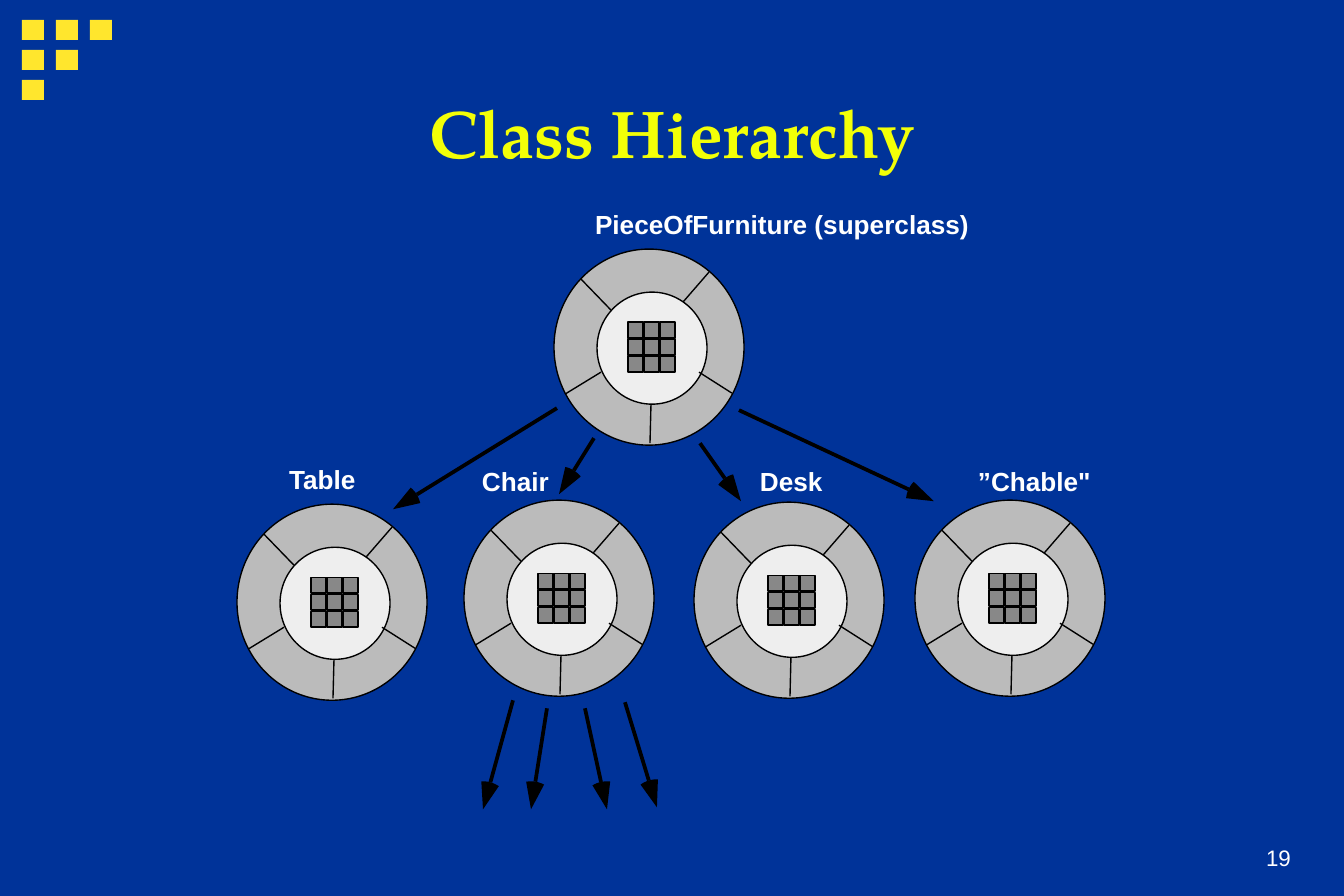
from math import atan2, cos, sin

from lxml import etree
from pptx import Presentation
from pptx.dml.color import RGBColor
from pptx.enum.shapes import MSO_CONNECTOR, MSO_SHAPE
from pptx.enum.text import MSO_ANCHOR, PP_ALIGN
from pptx.oxml.ns import qn
from pptx.util import Pt

SCALE = 914400 / 134.4
SLIDE_WIDTH, SLIDE_HEIGHT = Pt(720), Pt(479.8)
RECTANGLE, OVAL = MSO_SHAPE.RECTANGLE, MSO_SHAPE.OVAL
STRAIGHT = MSO_CONNECTOR.STRAIGHT
TOP, BOTTOM = MSO_ANCHOR.TOP, MSO_ANCHOR.BOTTOM
LEFT, CENTER, RIGHT = PP_ALIGN.LEFT, PP_ALIGN.CENTER, PP_ALIGN.RIGHT

BLUE, YELLOW, BRIGHT_YELLOW = "003399", "FFE62D", "F3FF07"
BLACK, WHITE = "000000", "FFFFFF"
RING_GRAY, HUB_GRAY, CELL_GRAY = "BBBBBB", "EEEEEE", "888888"

HEAD_LENGTH = 28
HEAD_HALF_ANGLE = 0.33
HEAD_STEPS = 4

TITLE_FORMAT = {"name": "TeX Gyre Pagella", "size": Pt(36), "bold": True}
LABEL_FORMAT = {"name": "Arial", "size": Pt(14), "bold": True}
NUMBER_FORMAT = {"name": "Arial", "size": Pt(12), "bold": False}

WHEELS = [(554, 249), (237, 504), (464, 500), (694, 502), (915, 500)]
SPOKES = [
    ((27, 30), (57, 61)),
    ((155, 23), (129, 53)),
    ((178, 144), (145, 123)),
    ((96, 194), (97, 155)),
    ((11, 145), (47, 123)),
]
ARROWS = [
    ((594, 438), (559, 494)),
    ((700, 443), (741, 501)),
    ((513, 700), (483, 809)),
    ((547, 708), (531, 809)),
    ((585, 708), (607, 809)),
    ((625, 702), (657, 807)),
    ((557, 408), (393, 509)),
    ((739, 410), (934, 501)),
]
LABELS = [
    ("Chair", 482, 469, 67),
    ("Table", 289, 467, 68),
    ("Desk", 760, 469, 63),
    ("”Chable\"", 978, 469, 113),
    ("PieceOfFurniture (superclass)", 595, 212, 375),
]


def px(value):
    return round(value * SCALE)


def color(value):
    return RGBColor.from_string(value)


def paint(shape, fill, outlined):
    shape.shadow.inherit = False
    shape.fill.solid()
    shape.fill.fore_color.rgb = color(fill)
    if outlined:
        shape.line.color.rgb = color(BLACK)
        shape.line.width = Pt(0.75)
    else:
        shape.line.fill.background()


def add_block(shapes, kind, left, top, width, height, fill, outlined=True):
    shape = shapes.add_shape(kind, px(left), px(top), px(width), px(height))
    paint(shape, fill, outlined)


def add_line(shapes, start, end, width):
    line = shapes.add_connector(STRAIGHT, *map(px, start + end))
    line.line.color.rgb = color(BLACK)
    line.line.width = Pt(width)
    etree.SubElement(line._element.spPr, qn("a:effectLst"))


def add_text(slide, text, box, font_format, font_color, align=LEFT,
             anchor=TOP, insets=(0, 0), wrap=True, spacing=1.0):
    frame = slide.shapes.add_textbox(*map(px, box)).text_frame
    side, end = map(px, insets)
    frame_format = {
        "word_wrap": wrap, "vertical_anchor": anchor,
        "margin_left": side, "margin_right": side,
        "margin_top": end, "margin_bottom": end,
    }
    for name, value in frame_format.items():
        setattr(frame, name, value)
    paragraph = frame.paragraphs[0]
    paragraph.alignment = align
    paragraph.line_spacing = spacing
    run = paragraph.add_run()
    run.text = text
    for name, value in font_format.items():
        setattr(run.font, name, value)
    run.font.color.rgb = color(font_color)


def add_corner_squares(slide):
    for row in range(3):
        for column in range(3 - row):
            add_block(slide.shapes, RECTANGLE, 22 + 34 * column,
                      20 + 30 * row, 22, 20, YELLOW, outlined=False)


def add_wheel(slide, left, top):
    shapes = slide.shapes.add_group_shape().shapes
    add_block(shapes, OVAL, left, top, 190, 196, RING_GRAY)
    add_block(shapes, OVAL, left + 43, top + 43, 110, 112, HUB_GRAY)
    for row in range(3):
        for column in range(3):
            add_block(shapes, RECTANGLE, left + 74 + 16 * column,
                      top + 73 + 17 * row, 15, 16, CELL_GRAY)
    for start, end in SPOKES:
        add_line(shapes, (left + start[0], top + start[1]),
                 (left + end[0], top + end[1]), 0.75)


def add_arrow(slide, start, tip):
    back = atan2(start[1] - tip[1], start[0] - tip[0])

    def head_point(turn):
        return (tip[0] + HEAD_LENGTH * cos(back + turn),
                tip[1] + HEAD_LENGTH * sin(back + turn))

    arc = [head_point(HEAD_HALF_ANGLE * step / HEAD_STEPS)
           for step in range(-HEAD_STEPS, HEAD_STEPS + 1)]
    builder = slide.shapes.build_freeform(px(tip[0]), px(tip[1]))
    builder.add_line_segments([(px(x), px(y)) for x, y in arc], close=True)
    paint(builder.convert_to_shape(), BLACK, outlined=False)
    add_line(slide.shapes, start, head_point(0), 2)


def main():
    presentation = Presentation()
    presentation.slide_width = SLIDE_WIDTH
    presentation.slide_height = SLIDE_HEIGHT
    slide = presentation.slides.add_slide(presentation.slide_layouts[6])
    slide.background.fill.solid()
    slide.background.fill.fore_color.rgb = color(BLUE)

    add_corner_squares(slide)
    add_text(slide, "19", (1211, 816, 93, 62), NUMBER_FORMAT, WHITE,
             align=RIGHT, anchor=BOTTOM, insets=(13, 7))
    add_text(slide, "Class Hierarchy", (409, 87, 527, 89), TITLE_FORMAT,
             BRIGHT_YELLOW, align=CENTER, insets=(9, 4))
    for left, top in WHEELS:
        add_wheel(slide, left, top)
    for start, tip in ARROWS:
        add_arrow(slide, start, tip)
    for text, left, top, width in LABELS:
        add_text(slide, text, (left, top, width, 28), LABEL_FORMAT, WHITE,
                 wrap=False, spacing=0.9)

    presentation.save("out.pptx")


if __name__ == "__main__":
    main()
